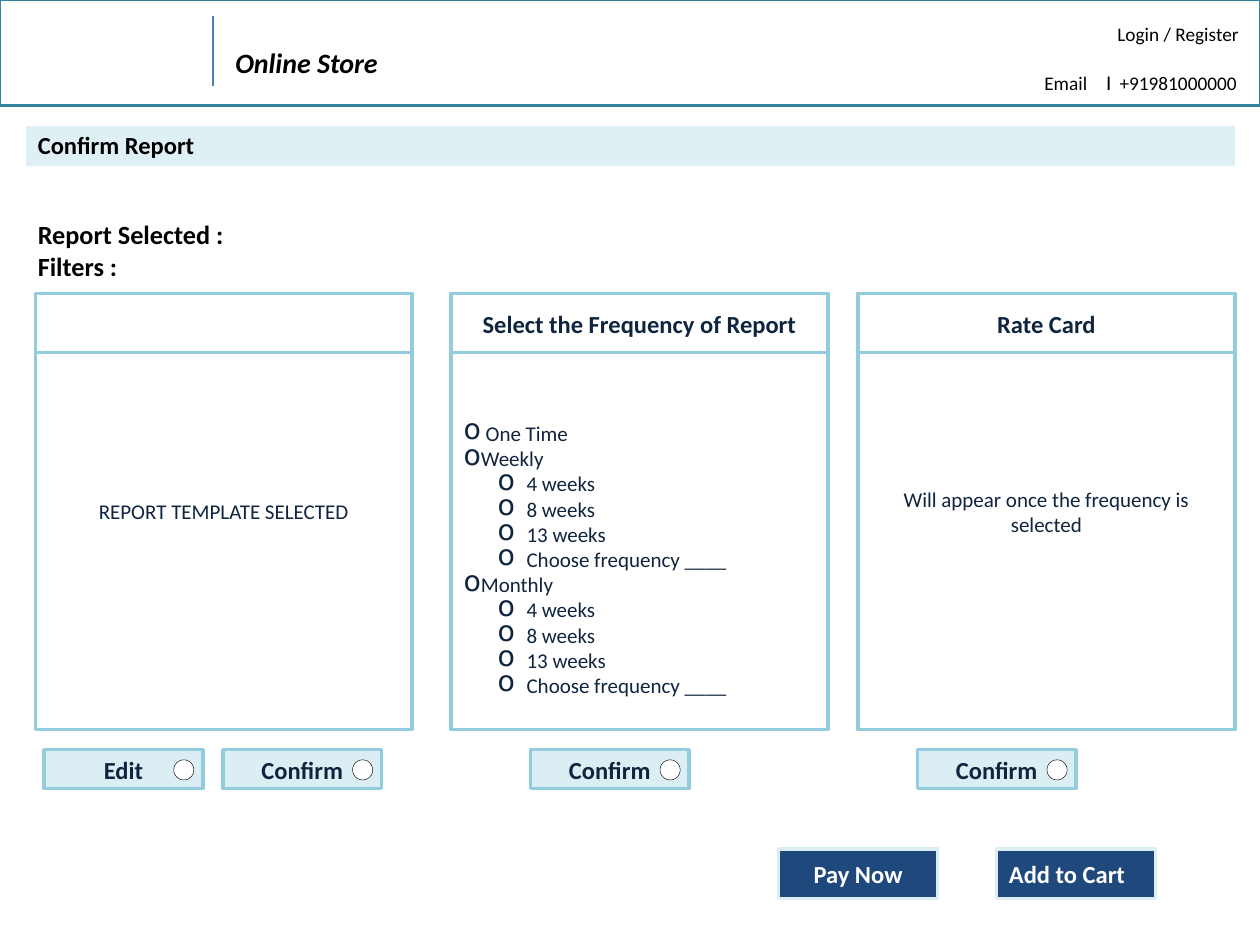
from dataclasses import dataclass
from typing import NamedTuple, Optional

from lxml import etree
from pptx import Presentation
from pptx.dml.color import RGBColor
from pptx.enum import shapes, text
from pptx.oxml.ns import qn
from pptx.util import Pt

LEFT, CENTER, RIGHT = text.PP_ALIGN.LEFT, text.PP_ALIGN.CENTER, text.PP_ALIGN.RIGHT


@dataclass(frozen=True)
class Theme:
    font: str = "Calibri"
    black: str = "000000"
    white: str = "FFFFFF"
    ink: str = "0F243E"
    header_line: str = "31859C"
    divider: str = "4B7EBC"
    band: str = "DFF0F5"
    border: str = "93CDDD"
    pale: str = "DBEEF4"
    navy: str = "1F497D"
    contact: float = 11
    body: float = 12
    heading: float = 14
    summary: float = 15
    title: float = 16


THEME = Theme()


class Box(NamedTuple):
    left: float
    top: float
    width: float
    height: float


class Card(NamedTuple):
    left: float
    heading: str
    message: str


class Option(NamedTuple):
    label: str
    level: int = 0


class Button(NamedTuple):
    left: float
    label: str
    align: text.PP_ALIGN = CENTER


# Content
CARD_TOP, CARD_WIDTH, CARD_HEIGHT, HEADING_HEIGHT = 167.8, 215.3, 249.1, 33.8
CARDS = [
    Card(20.2, "", "REPORT TEMPLATE SELECTED"),
    Card(257.8, "Select the Frequency of Report", ""),
    Card(490.3, "Rate Card", "Will appear once the frequency is selected"),
]
DURATIONS = [Option(label, 1) for label in
             ("4 weeks", "8 weeks", "13 weeks", "Choose frequency ____")]
OPTIONS = [Option(" One Time"), Option("Weekly"), *DURATIONS,
           Option("Monthly"), *DURATIONS]
BUTTON_WIDTH = 90.7
CHOICES = [Button(25.2, "Edit"), Button(127.4, "Confirm"),
           Button(303.1, "Confirm"), Button(524.2, "Confirm")]
PAYMENTS = [Button(445, "Pay Now"), Button(569.5, "Add to Cart", LEFT)]


def rgb(value: str) -> RGBColor:
    return RGBColor.from_string(value)


def points(box: Box) -> list:
    return [Pt(value) for value in box]


def style(paragraph, size: float, color: str, bold: bool = False,
          italic: bool = False, align: text.PP_ALIGN = LEFT) -> None:
    paragraph.alignment = align
    font = paragraph.font
    font.name, font.size, font.bold, font.italic = THEME.font, Pt(size), bold, italic
    font.color.rgb = rgb(color)


def add_panel(parent, box: Box, fill: Optional[str], line: str, weight: float = 2,
              kind=shapes.MSO_SHAPE.RECTANGLE):
    panel = parent.add_shape(kind, *points(box))
    panel.shadow.inherit = False
    if fill:
        panel.fill.solid()
        panel.fill.fore_color.rgb = rgb(fill)
    else:
        panel.fill.background()
    panel.line.color.rgb = rgb(line)
    panel.line.width = Pt(weight)
    return panel


def write(panel, label: str, size: float, color: str, bold: bool = False,
          align: text.PP_ALIGN = CENTER) -> None:
    if not label:
        return
    frame = panel.text_frame
    frame.word_wrap = True
    frame.vertical_anchor = text.MSO_ANCHOR.MIDDLE
    frame.paragraphs[0].text = label
    style(frame.paragraphs[0], size, color, bold, align=align)


def add_band(parent, box: Box, fill: str, lines: list[str], size: float) -> None:
    band = parent.add_table(1, 1, *points(box)).table
    band.first_row = band.horz_banding = False
    cell = band.cell(0, 0)
    cell.fill.solid()
    cell.fill.fore_color.rgb = rgb(fill)
    cell.text_frame.text = "\n".join(lines)
    for paragraph in cell.text_frame.paragraphs:
        style(paragraph, size, THEME.black, bold=True)


def add_card(parent, card: Card):
    body = add_panel(parent, Box(card.left, CARD_TOP, CARD_WIDTH, CARD_HEIGHT),
                     THEME.white, THEME.border)
    write(body, card.message, THEME.body, THEME.ink)
    heading = add_panel(parent, Box(card.left, CARD_TOP, CARD_WIDTH, HEADING_HEIGHT),
                        THEME.white, THEME.border)
    write(heading, card.heading, THEME.heading, THEME.ink, bold=True)
    return body


def add_options(body, options: list[Option]) -> None:
    frame = body.text_frame
    frame.word_wrap = True
    frame.vertical_anchor = text.MSO_ANCHOR.BOTTOM
    frame.margin_bottom = Pt(18.2)
    for index, option in enumerate(options):
        paragraph = frame.add_paragraph() if index else frame.paragraphs[0]
        paragraph.text = option.label
        paragraph.level = option.level
        props = paragraph._p.get_or_add_pPr()
        props.set("marL", str(Pt(36 * option.level)))
        props.set("indent", str(Pt(-16.5 * option.level)))
        etree.SubElement(props, qn("a:buSzPct"), val="135000")
        etree.SubElement(props, qn("a:buChar"), char="o")
        style(paragraph, THEME.body, THEME.ink)


def add_choice(parent, button: Button) -> None:
    group = parent.add_group_shape().shapes
    base = add_panel(group, Box(button.left, 428.4, BUTTON_WIDTH, 22.3),
                     THEME.pale, THEME.border)
    write(base, button.label, THEME.heading, THEME.ink, bold=True)
    add_panel(group, Box(button.left + 74.1, 434.2, 11.5, 11.5), THEME.white,
              THEME.black, 0.25, shapes.MSO_SHAPE.OVAL)


def add_header(parent) -> None:
    add_panel(parent, Box(0, 0, 720, 60.5), None, THEME.header_line, 1.5)
    divider = parent.add_connector(shapes.MSO_CONNECTOR.STRAIGHT,
                                   Pt(121.7), Pt(9.4), Pt(121.7), Pt(49))
    divider.line.color.rgb = rgb(THEME.divider)
    divider.line.width = Pt(1.5)
    etree.SubElement(divider._element.spPr, qn("a:effectLst"))

    store = parent.add_textbox(*points(Box(127.4, 22.3, 100.8, 26.6))).text_frame
    store.word_wrap = False
    store.text = "Online Store"
    style(store.paragraphs[0], THEME.title, THEME.black, bold=True, italic=True)

    account = parent.add_textbox(*points(Box(589.7, 9.4, 125.3, 48.2))).text_frame
    account.word_wrap = True
    login, contact = account.paragraphs[0], account.add_paragraph()
    login.text = "Login / Register"
    style(login, THEME.contact, THEME.black, align=RIGHT)
    contact.space_before = Pt(13.4)
    tabs = etree.SubElement(contact._p.get_or_add_pPr(), qn("a:tabLst"))
    for stop in (35.3, 43):
        etree.SubElement(tabs, qn("a:tab"), pos=str(Pt(stop)), algn="l")
    style(contact, THEME.contact, THEME.black)
    for part, size in (("Email\t", THEME.contact), ("I", THEME.body),
                       ("\t+91981000000", THEME.contact)):
        run = contact.add_run()
        run.text = part
        run.font.size = Pt(size)


def main() -> None:
    deck = Presentation()
    deck.slide_width, deck.slide_height = Pt(720), Pt(540)
    page = deck.slides.add_slide(deck.slide_layouts[6]).shapes

    # Header and report summary
    add_header(page)
    add_band(page, Box(14.4, 71.3, 691.9, 23.8), THEME.band,
             ["Confirm Report"], THEME.heading)
    add_band(page, Box(14.4, 121.7, 691.9, 43.2), THEME.white,
             ["Report Selected :", "Filters :"], THEME.summary)

    # Cards: template, frequency, rates
    _, frequency, _ = [add_card(page, card) for card in CARDS]
    add_options(frequency, OPTIONS)

    # Choices below the cards, then payment
    for choice in CHOICES:
        add_choice(page, choice)
    for payment in PAYMENTS:
        base = add_panel(page, Box(payment.left, 485.3, BUTTON_WIDTH, 28.1),
                         THEME.navy, THEME.pale)
        write(base, payment.label, THEME.heading, THEME.white, True, payment.align)

    deck.save("out.pptx")


if __name__ == "__main__":
    main()
